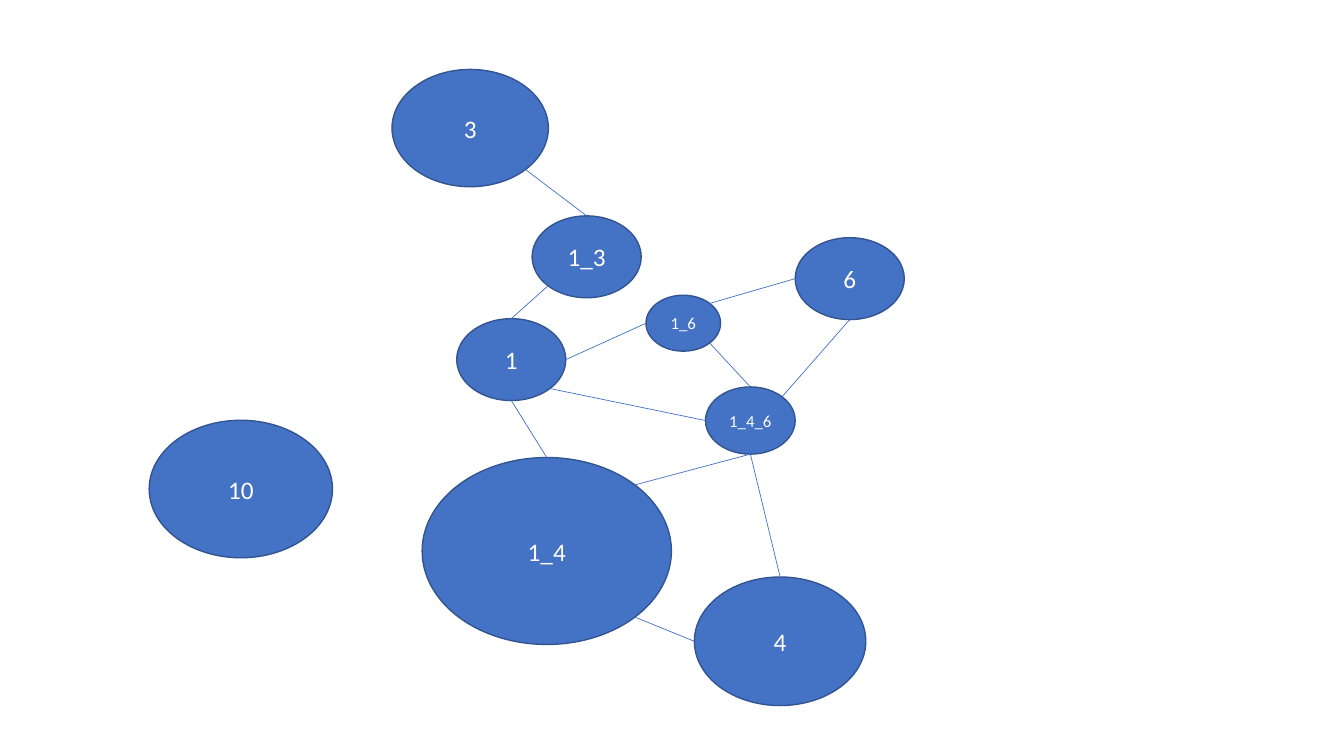
import math
from dataclasses import dataclass

import lxml.etree
import pptx
import pptx.dml.color
import pptx.enum.shapes
import pptx.enum.text
import pptx.oxml.ns
import pptx.util
from pptx.util import Cm


@dataclass(frozen=True)
class Theme:
    """Colours, type sizes and line widths of the slide."""
    fill: str = "4472C4"
    outline: str = "325491"
    text: str = "FFFFFF"
    font: str = "Calibri"
    large: int = 18
    small: int = 12
    outline_width: float = 1
    link_width: float = 0.5


THEME = Theme()
NODE_ASPECT = 0.75

# label: left, top, width in centimetres, type size
NODES = {
    "1": (11.51, 8.03, 2.75, THEME.large),
    "6": (20.04, 5.99, 2.75, THEME.large),
    "1_6": (16.28, 7.44, 1.88, THEME.small),
    "1_4": (10.64, 11.53, 6.28, THEME.large),
    "1_4_6": (17.78, 9.75, 2.26, THEME.small),
    "1_3": (13.41, 5.44, 2.75, THEME.large),
    "3": (9.88, 1.75, 3.94, THEME.large),
    "10": (3.76, 10.59, 4.62, THEME.large),
    "4": (17.5, 14.54, 4.32, THEME.large),
}

SITES = ("top", "top left", "left", "bottom left",
         "bottom", "bottom right", "right", "top right")

LINKS = [
    ("1_6", "top right", "6", "left"),
    ("1", "right", "1_6", "left"),
    ("1", "bottom", "1_4", "top"),
    ("1", "bottom right", "1_4_6", "left"),
    ("1_4_6", "bottom", "1_4", "top right"),
    ("1_6", "bottom right", "1_4_6", "top"),
    ("6", "bottom", "1_4_6", "top right"),
    ("1", "top", "1_3", "bottom left"),
    ("3", "bottom right", "1_3", "top"),
    ("4", "left", "1_4", "bottom right"),
    ("4", "top", "1_4_6", "bottom"),
]


def colour(value):
    """Return the colour object for a hex value."""
    return pptx.dml.color.RGBColor.from_string(value)


def add_node(slide, label, left, top, width, size):
    """Draw one labelled ellipse and return its shape."""
    shape = slide.shapes.add_shape(
        pptx.enum.shapes.MSO_SHAPE.OVAL, left, top, width, round(width * NODE_ASPECT))
    shape.shadow.inherit = False
    shape.fill.solid()
    shape.fill.fore_color.rgb = colour(THEME.fill)
    shape.line.color.rgb = colour(THEME.outline)
    shape.line.width = pptx.util.Pt(THEME.outline_width)
    frame = shape.text_frame
    frame.word_wrap = False
    frame.vertical_anchor = pptx.enum.text.MSO_ANCHOR.MIDDLE
    paragraph = frame.paragraphs[0]
    paragraph.text = label
    paragraph.alignment = pptx.enum.text.PP_ALIGN.CENTER
    paragraph.font.name = THEME.font
    paragraph.font.size = pptx.util.Pt(size)
    paragraph.font.color.rgb = colour(THEME.text)
    return shape


def site_point(shape, site):
    """Return the point of a connection site on an ellipse."""
    angle = math.radians(45 * SITES.index(site))
    return (round(shape.left + shape.width / 2 * (1 - math.sin(angle))),
            round(shape.top + shape.height / 2 * (1 - math.cos(angle))))


def add_link(slide, start, start_site, end, end_site):
    """Join two ellipses with a straight connector glued at both ends."""
    connector = slide.shapes.add_connector(
        pptx.enum.shapes.MSO_CONNECTOR.STRAIGHT,
        *site_point(start, start_site), *site_point(end, end_site))
    connector.line.color.rgb = colour(THEME.fill)
    connector.line.width = pptx.util.Pt(THEME.link_width)
    qualified = pptx.oxml.ns.qn
    element = connector.element
    lxml.etree.SubElement(element.spPr, qualified("a:effectLst"))
    properties = element.find(".//" + qualified("p:cNvCxnSpPr"))
    for tag, shape, site in (("a:stCxn", start, start_site), ("a:endCxn", end, end_site)):
        lxml.etree.SubElement(properties, qualified(tag),
                              id=str(shape.shape_id), idx=str(SITES.index(site)))


def add_graph(slide, box_left, box_top):
    """Draw the network of nodes and links from the box's top left corner."""
    shapes = {
        label: add_node(slide, label, box_left + Cm(left), box_top + Cm(top), Cm(width), size)
        for label, (left, top, width, size) in NODES.items()
    }
    for start, start_site, end, end_site in LINKS:
        add_link(slide, shapes[start], start_site, shapes[end], end_site)


def main():
    """Build the presentation and save it."""
    presentation = pptx.Presentation()
    presentation.slide_width = Cm(33.87)
    presentation.slide_height = Cm(19.05)
    slide = presentation.slides.add_slide(presentation.slide_layouts[6])
    add_graph(slide, Cm(0), Cm(0))
    presentation.save("out.pptx")


if __name__ == "__main__":
    main()
